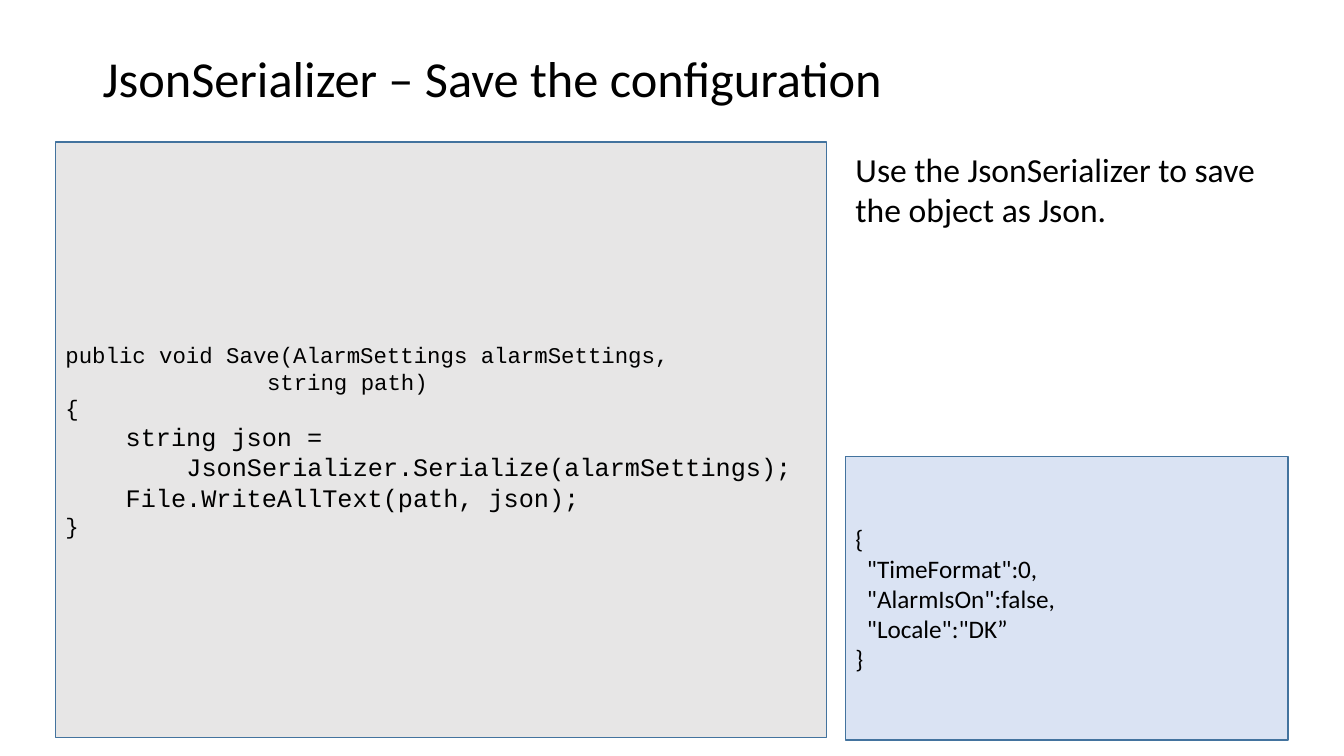
import pptx
import pptx.dml.color
import pptx.enum.shapes
import pptx.enum.text
import pptx.util

Cm = pptx.util.Cm
Pt = pptx.util.Pt
ANCHOR = pptx.enum.text.MSO_ANCHOR

BLACK = "000000"
BORDER = "43739E"
CODE_FONT = "Courier New"
TEXT_FONT = "Calibri"


def color(hex_text):
    return pptx.dml.color.RGBColor.from_string(hex_text)


def place(shape, left, top, width, height):
    shape.left, shape.top = Cm(left), Cm(top)
    shape.width, shape.height = Cm(width), Cm(height)


def write(para, text, size=18, font=TEXT_FONT, fill=BLACK, indent=0, spacing=1.0):
    para.alignment = pptx.enum.text.PP_ALIGN.LEFT
    para.line_spacing = spacing
    para._p.get_or_add_pPr().set("marL", str(Cm(indent)))
    span = para.add_run()
    span.text = text
    span.font.size = Pt(size)
    span.font.name = font
    span.font.color.rgb = color(fill)


def write_lines(frame, lines, font):
    for number, (text, size, indent) in enumerate(lines):
        para = frame.add_paragraph() if number else frame.paragraphs[0]
        write(para, text, size=size, font=font, indent=indent)


def add_title(page, text):
    title = page.shapes.title
    place(title, 2.33, 1.02, 29.21, 2.06)
    title.text_frame.vertical_anchor = ANCHOR.MIDDLE
    write(title.text_frame.paragraphs[0], text, size=36, spacing=0.9)


def add_panel(page, bounds, fill, lines, font):
    box = page.shapes.add_shape(
        pptx.enum.shapes.MSO_SHAPE.RECTANGLE, *(Cm(length) for length in bounds))
    box.shadow.inherit = False
    box.fill.solid()
    box.fill.fore_color.rgb = color(fill)
    box.line.color.rgb = color(BORDER)
    box.line.width = Pt(1)
    box.text_frame.word_wrap = True
    box.text_frame.vertical_anchor = ANCHOR.MIDDLE
    write_lines(box.text_frame, lines, font)


def add_note(page, bounds, text):
    box = page.shapes.add_textbox(*(Cm(length) for length in bounds))
    box.text_frame.word_wrap = True
    write(box.text_frame.paragraphs[0], text, size=24)


def main():
    deck = pptx.Presentation()
    deck.slide_width, deck.slide_height = Cm(33.87), Cm(19.05)
    page = deck.slides.add_slide(deck.slide_layouts[5])

    add_title(page, "JsonSerializer – Save the configuration")
    code_lines = [
        ("public void Save(AlarmSettings alarmSettings,", 16, 0),
        ("string path)", 16, 5.08),
        ("{", 16, 0),
        ("string json =", 18, 1.52),
        ("JsonSerializer.Serialize(alarmSettings);", 18, 3.05),
        ("File.WriteAllText(path, json);", 18, 1.52),
        ("}", 16, 0),
    ]
    add_panel(page, (1.4, 3.58, 19.43, 15.01), "E7E6E6", code_lines, CODE_FONT)

    json_lines = [
        ("{", 18, 0),
        ('"TimeFormat":0,', 18, 0.29),
        ('"AlarmIsOn":false,', 18, 0.29),
        ('"Locale":"DK”', 18, 0.29),
        ("}", 18, 0),
    ]
    add_panel(page, (21.31, 11.51, 11.15, 7.14), "DAE3F3", json_lines, TEXT_FONT)
    add_note(page, (21.31, 3.63, 11.15, 7.47),
             "Use the JsonSerializer to save the object as Json.")

    deck.save("out.pptx")


if __name__ == "__main__":
    main()
